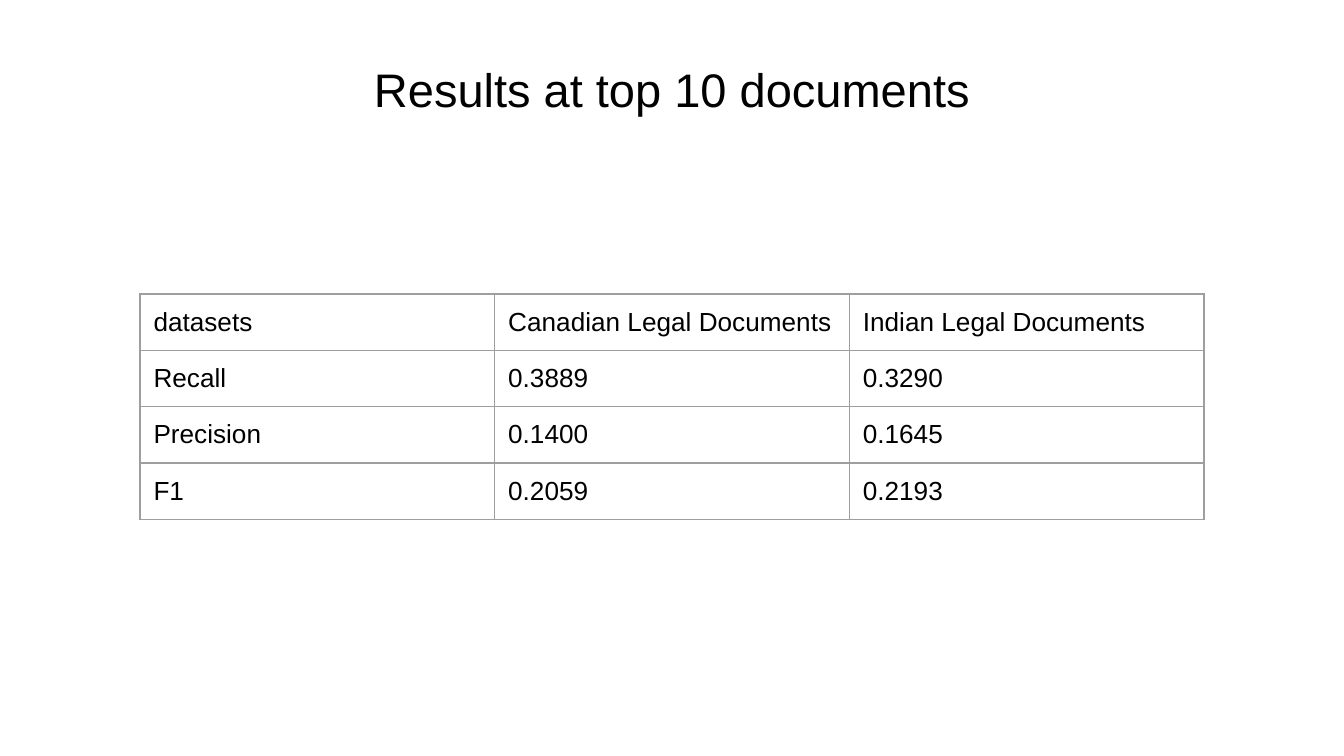
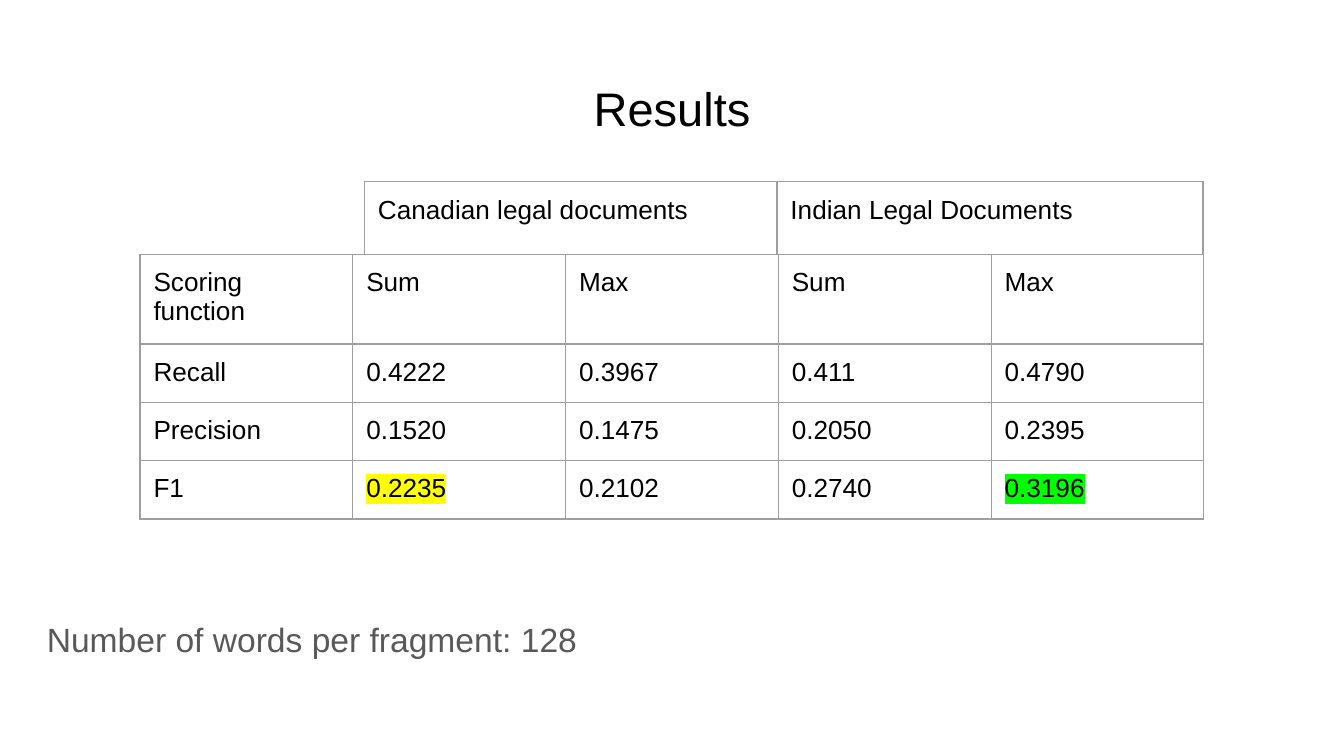
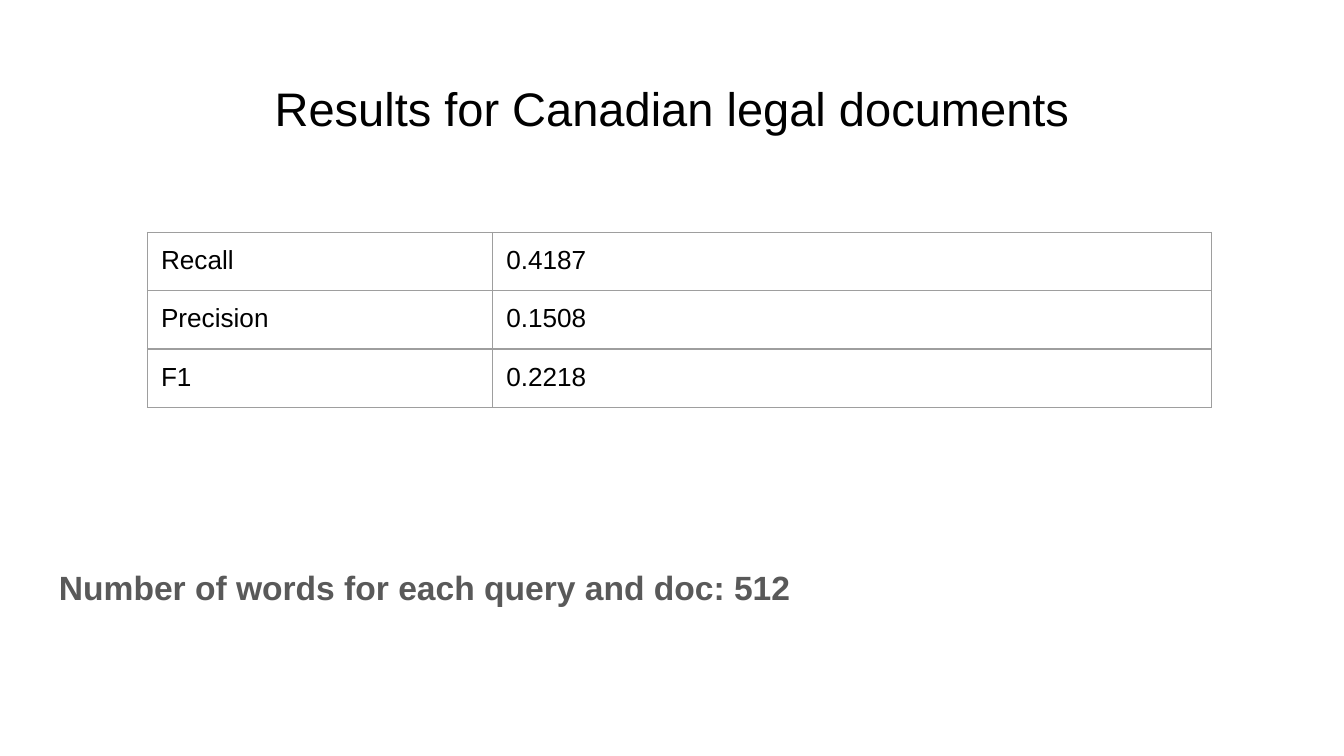
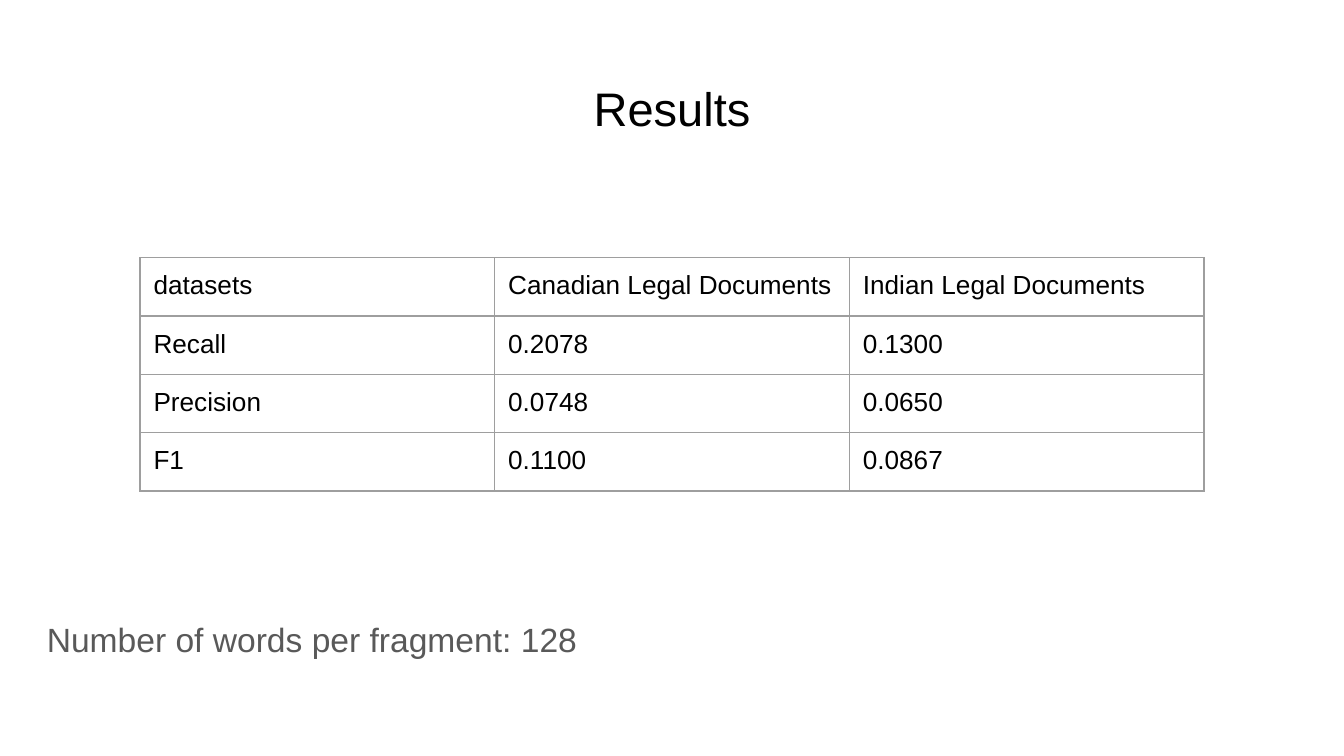
from dataclasses import dataclass

from lxml.etree import SubElement
from pptx import Presentation
from pptx.dml.color import RGBColor
from pptx.enum.text import MSO_ANCHOR, PP_ALIGN
from pptx.oxml.ns import qn
from pptx.util import Inches, Pt


@dataclass(frozen=True)
class Theme:
    font: str = "Arial"
    background: str = "FFFFFF"
    ink: str = "000000"
    note: str = "595959"
    border: str = "9E9E9E"
    yellow: str = "FFFF00"
    green: str = "00FF00"
    title_size: float = 25.2
    note_size: float = 18
    cell_size: float = 14
    border_width: float = 0.75
    inset: float = 0.1


@dataclass(frozen=True)
class Box:
    left: float
    top: float
    width: float
    height: float

    def place(self):
        column, row = SLIDE_WIDTH / 100, SLIDE_HEIGHT / 100
        return (int(self.left * column), int(self.top * row),
                int(self.width * column), int(self.height * row))


THEME = Theme()
SLIDE_WIDTH = Inches(10)
SLIDE_HEIGHT = SLIDE_WIDTH * 9 // 16
TITLE_ONLY = 5
ROW = 7.41
TABLE_WIDTH = 79.17
FRAME_SIDE = Inches(3.28)
TITLE_BOX = Box(3.4, 8.65, 93.2, 11.13)
HIGH_TITLE_BOX = Box(3.4, 6.18, 93.2, 11.13)
FRAGMENT_NOTE_BOX = Box(2.5, 79.25, 94.1, 9.6)
QUERY_NOTE_BOX = Box(3.4, 72.45, 91.2, 16.36)
FRAGMENT_NOTE = "Number of words per fragment: 128"
DATASETS = ("datasets", "Canadian Legal Documents", "Indian Legal Documents")


def add_run(paragraph, text, size, color, bold=False, highlight=None):
    run = paragraph.add_run()
    run.text = text
    run.font.name = THEME.font
    run.font.size = Pt(size)
    run.font.bold = bold
    run.font.color.rgb = RGBColor.from_string(color)
    if highlight:
        properties = run._r.get_or_add_rPr()
        mark = SubElement(properties, qn("a:highlight"))
        SubElement(mark, qn("a:srgbClr"), val=highlight)
        properties.find(qn("a:solidFill")).addnext(mark)


def set_insets(frame):
    frame.margin_left = frame.margin_right = Inches(THEME.inset)
    frame.margin_top = frame.margin_bottom = Inches(THEME.inset)


def add_titled_slide(presentation, title, box=TITLE_BOX):
    slide = presentation.slides.add_slide(presentation.slide_layouts[TITLE_ONLY])
    slide.background.fill.solid()
    slide.background.fill.fore_color.rgb = RGBColor.from_string(THEME.background)
    shape = slide.shapes.title
    shape.left, shape.top, shape.width, shape.height = box.place()
    frame = shape.text_frame
    frame.word_wrap = True
    frame.vertical_anchor = MSO_ANCHOR.BOTTOM
    set_insets(frame)
    paragraph = frame.paragraphs[0]
    paragraph.alignment = PP_ALIGN.CENTER
    add_run(paragraph, title, THEME.title_size, THEME.ink)
    return slide


def add_note(slide, box, text, bold=False):
    frame = slide.shapes.add_textbox(*box.place()).text_frame
    frame.word_wrap = True
    set_insets(frame)
    paragraph = frame.paragraphs[0]
    paragraph.line_spacing = 1.15
    paragraph.space_after = Pt(12)
    add_run(paragraph, text, THEME.note_size, THEME.note, bold)


def add_borders(cell):
    properties = cell._tc.get_or_add_tcPr()
    for position, side in enumerate(("a:lnL", "a:lnR", "a:lnT", "a:lnB")):
        line = SubElement(properties, qn(side), w=str(Pt(THEME.border_width)))
        fill = SubElement(line, qn("a:solidFill"))
        SubElement(fill, qn("a:srgbClr"), val=THEME.border)
        properties.insert(position, line)


def add_result_table(slide, box, rows, column_shares=None, highlights=None):
    column_shares = column_shares or [1] * len(rows[0])
    highlights = highlights or {}
    left, top, width, height = box.place()
    table_frame = slide.shapes.add_table(
        len(rows), len(rows[0]), left, top, width, height)
    table = table_frame.table
    table.first_row = table.horz_banding = False
    for column, share in zip(table.columns, column_shares):
        column.width = int(width * share / sum(column_shares))
    for row_index, values in enumerate(rows):
        for column_index, value in enumerate(values):
            cell = table.cell(row_index, column_index)
            set_insets(cell)
            cell.fill.background()
            add_borders(cell)
            add_run(cell.text_frame.paragraphs[0], value, THEME.cell_size, THEME.ink,
                    highlight=highlights.get((row_index, column_index)))
    table_frame.width = table_frame.height = FRAME_SIDE


def build_top_documents(presentation):
    slide = add_titled_slide(presentation, "Results at top 10 documents", HIGH_TITLE_BOX)
    add_result_table(slide, Box(10.42, 38.9, TABLE_WIDTH, 4 * ROW), [
        DATASETS,
        ("Recall", "0.3889", "0.3290"),
        ("Precision", "0.1400", "0.1645"),
        ("F1", "0.2059", "0.2193"),
    ])


def build_scoring_functions(presentation):
    slide = add_titled_slide(presentation, "Results")
    add_note(slide, FRAGMENT_NOTE_BOX, FRAGMENT_NOTE)
    add_result_table(slide, Box(10.42, 33.65, TABLE_WIDTH, 4 * ROW), [
        ("Scoring function", "Sum", "Max", "Sum", "Max"),
        ("Recall", "0.4222", "0.3967", "0.411", "0.4790"),
        ("Precision", "0.1520", "0.1475", "0.2050", "0.2395"),
        ("F1", "0.2235", "0.2102", "0.2740", "0.3196"),
    ], highlights={(3, 1): THEME.yellow, (3, 4): THEME.green})
    add_result_table(slide, Box(27.12, 24.05, 62.4, 9.6), [
        ("Canadian legal documents", "Indian Legal Documents"),
    ], column_shares=(3.07, 3.17))


def build_canadian_results(presentation):
    slide = add_titled_slide(presentation, "Results for Canadian legal documents")
    add_note(slide, QUERY_NOTE_BOX, "Number of words for each query and doc: 512", bold=True)
    add_result_table(slide, Box(10.98, 30.75, TABLE_WIDTH, 3 * ROW), [
        ("Recall", "0.4187"),
        ("Precision", "0.1508"),
        ("F1", "0.2218"),
    ], column_shares=(2.57, 5.35))


def build_fragment_results(presentation):
    slide = add_titled_slide(presentation, "Results")
    add_note(slide, FRAGMENT_NOTE_BOX, FRAGMENT_NOTE)
    add_result_table(slide, Box(10.42, 34.1, TABLE_WIDTH, 4 * ROW), [
        DATASETS,
        ("Recall", "0.2078", "0.1300"),
        ("Precision", "0.0748", "0.0650"),
        ("F1", "0.1100", "0.0867"),
    ])


def main():
    presentation = Presentation()
    presentation.slide_width = SLIDE_WIDTH
    presentation.slide_height = SLIDE_HEIGHT
    build_top_documents(presentation)
    build_scoring_functions(presentation)
    build_canadian_results(presentation)
    build_fragment_results(presentation)
    presentation.save("out.pptx")


if __name__ == "__main__":
    main()
